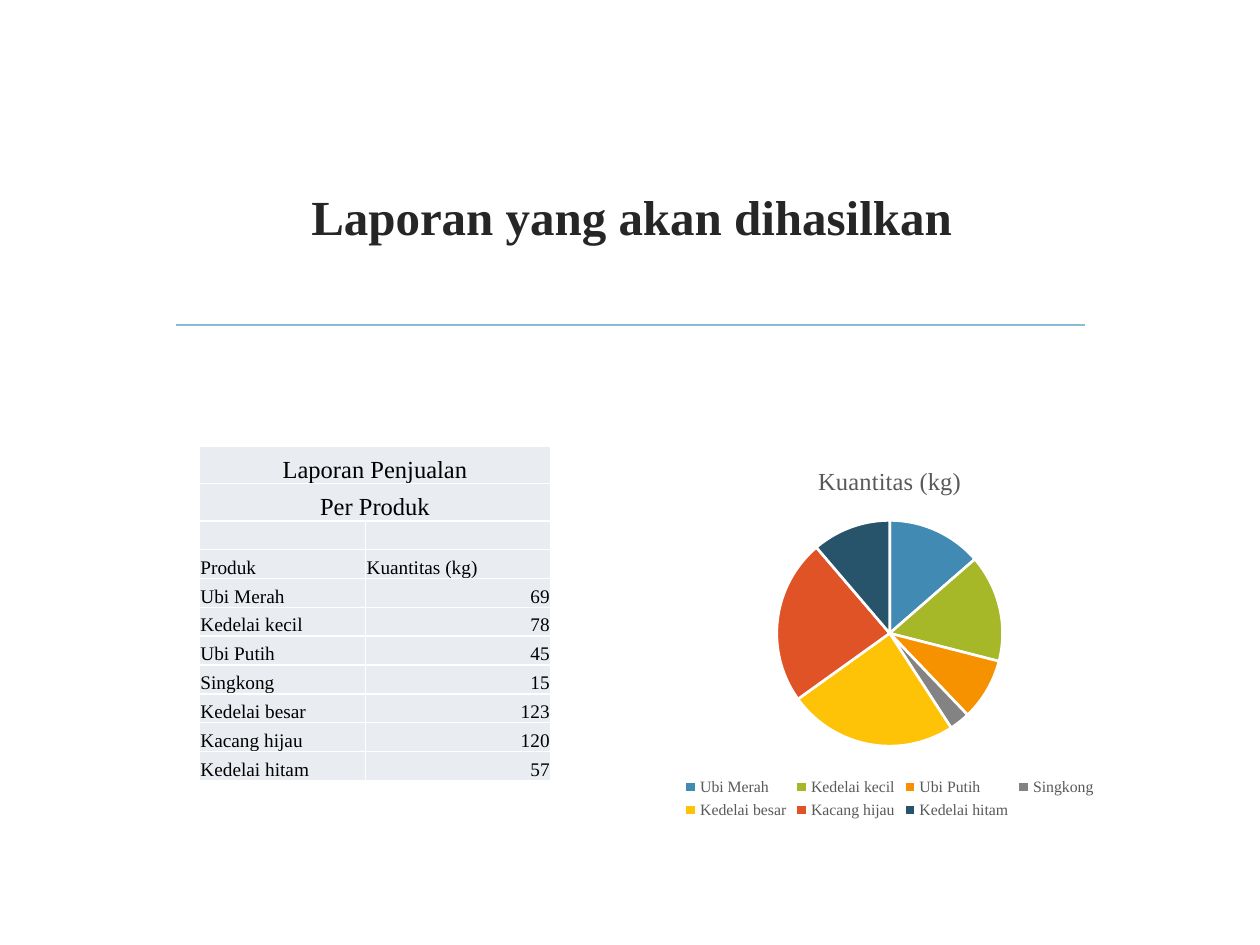
import dataclasses

import lxml.etree
import pptx
import pptx.chart.data
import pptx.dml.color
import pptx.enum.chart
import pptx.enum.shapes
import pptx.enum.text
import pptx.oxml
import pptx.oxml.ns
import pptx.util

Cm = pptx.util.Cm
Pt = pptx.util.Pt
ALIGN = pptx.enum.text.PP_ALIGN
ANCHOR = pptx.enum.text.MSO_ANCHOR
qn = pptx.oxml.ns.qn


@dataclasses.dataclass(frozen=True)
class Theme:
    font: str = "Times New Roman"
    title: str = "262626"
    rule: str = "8ABAD4"
    text: str = "000000"
    muted: str = "595959"
    cell: str = "E9EDF2"
    border: str = "FFFFFF"
    slices: tuple = ("418AB3", "A6B727", "F69200", "838383",
                     "FEC306", "DF5327", "27536B")
    title_size: int = 28
    heading_size: int = 14
    body_size: int = 11
    legend_size: int = 9


THEME = Theme()
HEADINGS = ("Laporan Penjualan", "Per Produk")
COLUMNS = ("Produk", "Kuantitas (kg)")
SALES = {
    "Ubi Merah": 69,
    "Kedelai kecil": 78,
    "Ubi Putih": 45,
    "Singkong": 15,
    "Kedelai besar": 123,
    "Kacang hijau": 120,
    "Kedelai hitam": 57,
}


def rgb(color):
    return pptx.dml.color.RGBColor.from_string(color)


def style_font(font, size, color, bold=False):
    font.name = THEME.font
    font.size = Pt(size)
    font.bold = bold
    font.color.rgb = rgb(color)


def place_title(slide, text, left, top, width, height):
    title = slide.shapes.title
    title.left, title.top, title.width, title.height = left, top, width, height
    frame = title.text_frame
    frame.text = text
    frame.vertical_anchor = ANCHOR.MIDDLE
    paragraph = frame.paragraphs[0]
    paragraph.alignment = ALIGN.CENTER
    style_font(paragraph.runs[0].font, THEME.title_size, THEME.title, True)


def add_rule(slide, left, top, width):
    rule = slide.shapes.add_connector(
        pptx.enum.shapes.MSO_CONNECTOR.STRAIGHT, left, top, left + width, top)
    rule.line.color.rgb = rgb(THEME.rule)
    rule.line.width = Pt(1.25)
    lxml.etree.SubElement(rule._element.spPr, qn("a:effectLst"))


def add_borders(cell):
    properties = cell._tc.get_or_add_tcPr()
    for side in ("lnL", "lnR", "lnT", "lnB"):
        line = lxml.etree.SubElement(properties, qn(f"a:{side}"), w=str(Pt(1)))
        fill = lxml.etree.SubElement(line, qn("a:solidFill"))
        lxml.etree.SubElement(fill, qn("a:srgbClr"), val=THEME.border)


def fill_cell(cell, text, size, alignment):
    cell.margin_left = cell.margin_right = cell.margin_top = Cm(0.02)
    cell.margin_bottom = 0
    cell.vertical_anchor = ANCHOR.BOTTOM
    add_borders(cell)
    cell.fill.solid()
    cell.fill.fore_color.rgb = rgb(THEME.cell)
    paragraph = cell.text_frame.paragraphs[0]
    paragraph.alignment = alignment
    if text:
        paragraph.text = text
        style_font(paragraph.runs[0].font, size, THEME.text)
    else:
        # An empty cell takes its height from the end-of-paragraph size.
        paragraph._p.get_or_add_endParaRPr().set("sz", str(size * 100))


def add_sales_table(slide, left, top, width, height):
    rows = [(heading, "") for heading in HEADINGS]
    rows += [("", ""), COLUMNS]
    rows += [(product, str(quantity)) for product, quantity in SALES.items()]
    table = slide.shapes.add_table(
        len(rows), len(COLUMNS), left, top, width, height).table
    table.first_row = table.horz_banding = False
    table.columns[0].width = Cm(3.35)
    table.columns[1].width = width - Cm(3.35)

    heading_height = Cm(0.75)
    body_height = (height - len(HEADINGS) * heading_height) // (
        len(rows) - len(HEADINGS))
    for index, values in enumerate(rows):
        is_heading = index < len(HEADINGS)
        table.rows[index].height = heading_height if is_heading else body_height
        size = THEME.heading_size if is_heading else THEME.body_size
        for column, text in enumerate(values):
            if is_heading:
                alignment = ALIGN.CENTER
            else:
                alignment = ALIGN.RIGHT if text.isdigit() else ALIGN.LEFT
            fill_cell(table.cell(index, column), text, size, alignment)
        if is_heading:
            table.cell(index, 0).merge(table.cell(index, 1))


def add_sales_pie(slide, left, top, width, height):
    data = pptx.chart.data.CategoryChartData()
    data.categories = list(SALES)
    data.add_series(COLUMNS[1], list(SALES.values()))
    chart = slide.shapes.add_chart(
        pptx.enum.chart.XL_CHART_TYPE.PIE, left, top, width, height, data).chart
    style_font(chart.font, 10, THEME.text)

    chart.has_title = True
    title = chart.chart_title.text_frame
    title.text = COLUMNS[1]
    style_font(title.paragraphs[0].runs[0].font, THEME.heading_size, THEME.muted)
    chart.chart_title.include_in_layout = False

    chart.has_legend = True
    chart.legend.position = pptx.enum.chart.XL_LEGEND_POSITION.BOTTOM
    chart.legend.include_in_layout = False
    style_font(chart.legend.font, THEME.legend_size, THEME.muted)

    plot = chart.plots[0]
    plot.vary_by_categories = True
    for index, color in enumerate(THEME.slices):
        point = plot.series[0].points[index].format
        point.fill.solid()
        point.fill.fore_color.rgb = rgb(color)
        point.line.color.rgb = rgb(THEME.border)
        point.line.width = Pt(1.5)


def main():
    presentation = pptx.Presentation()
    presentation.slide_width = Cm(25.4)
    presentation.slide_height = Cm(19.05)
    slide = presentation.slides.add_slide(presentation.slide_layouts[5])

    place_title(slide, "Laporan yang akan dihasilkan",
                Cm(3.28), Cm(2.54), Cm(18.9), Cm(3.63))
    add_rule(slide, Cm(3.55), Cm(6.55), Cm(18.32))
    content_top = Cm(9)
    add_sales_table(slide, Cm(4.02), content_top, Cm(7.08), Cm(6.73))
    add_sales_pie(slide, Cm(13.16), content_top, Cm(9.55), Cm(7.62))
    presentation.save("out.pptx")


if __name__ == "__main__":
    main()
